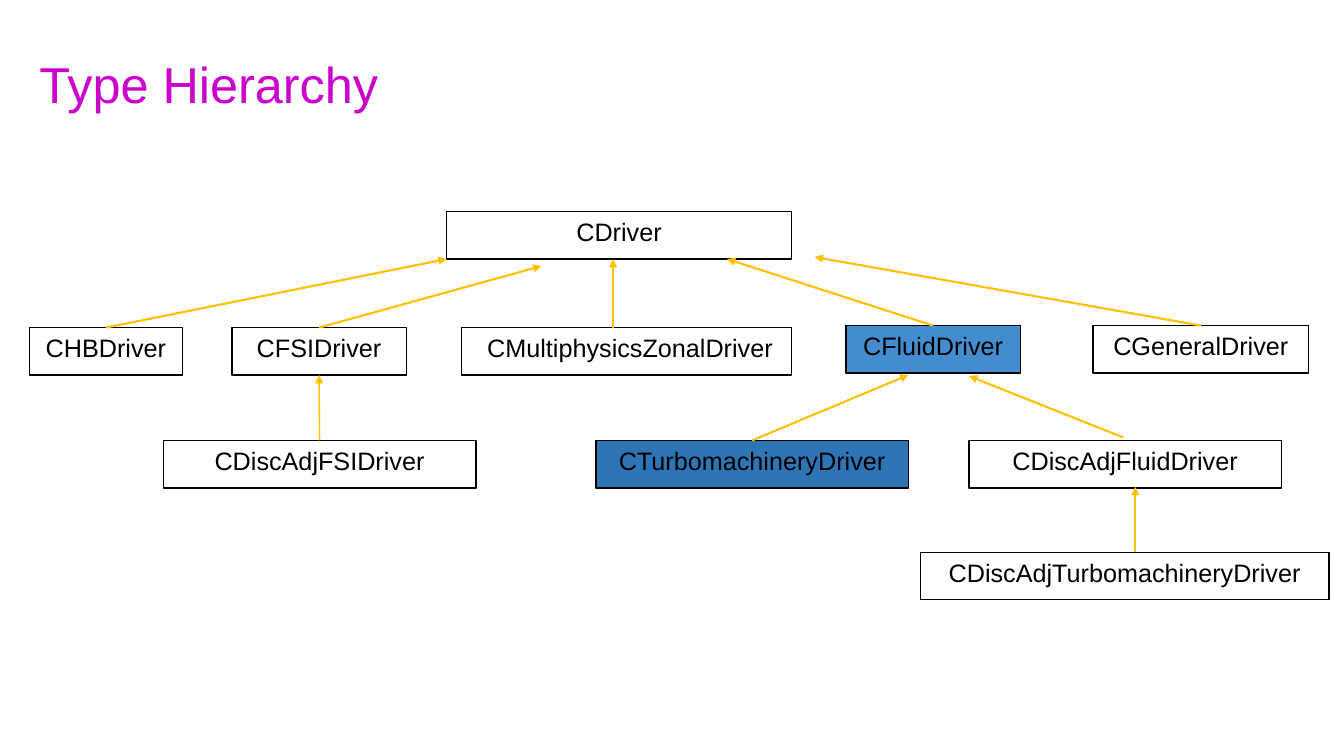
import pptx
import pptx.dml.color
import pptx.enum.shapes
import pptx.enum.text
import pptx.util
from dataclasses import dataclass
from lxml import etree
from pptx.oxml.ns import qn
from pptx.util import Inches

TOP, BOTTOM = 0, 2
BOX_HEIGHT = 0.47


@dataclass(frozen=True)
class Theme:
    font: str = "Arial"
    title_size: int = 36
    label_size: int = 18
    title: str = "CC00CC"
    ink: str = "000000"
    plain: str = "FFFFFF"
    fluid: str = "438CCF"
    turbo: str = "2E75B6"
    arrow: str = "FFC000"


THEME = Theme()

# Class label: left, top, width, fill
CLASSES = {
    "CDriver": (4.43, 2.1, 3.42, THEME.plain),
    "CHBDriver": (0.29, 3.25, 1.52, THEME.plain),
    "CFSIDriver": (2.3, 3.25, 1.73, THEME.plain),
    " CMultiphysicsZonalDriver": (4.58, 3.25, 3.27, THEME.plain),
    "CFluidDriver": (8.39, 3.23, 1.73, THEME.fluid),
    "CGeneralDriver": (10.84, 3.23, 2.14, THEME.plain),
    "CDiscAdjFSIDriver": (1.62, 4.37, 3.1, THEME.plain),
    "CTurbomachineryDriver": (5.91, 4.37, 3.1, THEME.turbo),
    "CDiscAdjFluidDriver": (9.61, 4.37, 3.1, THEME.plain),
    "CDiscAdjTurbomachineryDriver": (9.13, 5.48, 4.05, THEME.plain),
}

# Arrow ends: a class label joins the box, a point stays free
ARROWS = [
    ("CHBDriver", (4.43, 2.57), 1.5),
    ("CFSIDriver", (5.37, 2.64), 1.5),
    ((6.08, 3.25), (6.08, 2.57), 1.5),
    ("CFluidDriver", (7.21, 2.57), 1.5),
    ("CGeneralDriver", (8.08, 2.55), 1.5),
    ("CDiscAdjFSIDriver", "CFSIDriver", 1),
    ("CTurbomachineryDriver", (9.01, 3.72), 1.5),
    ((11.14, 4.34), (9.61, 3.73), 1.5),
    ((11.26, 5.48), (11.26, 4.83), 1.5),
]


def rgb(value):
    return pptx.dml.color.RGBColor.from_string(value)


def format_text(frame, size, color, alignment):
    para = frame.paragraphs[0]
    para.alignment = alignment
    for span in para.runs:
        span.font.name = THEME.font
        span.font.size = pptx.util.Pt(size)
        span.font.color.rgb = rgb(color)


def set_title(page, text):
    title = page.shapes.title
    title.left, title.top = Inches(0.29), Inches(0.24)
    title.width, title.height = Inches(13.12), Inches(1.18)
    frame = title.text_frame
    frame.text = text
    frame.vertical_anchor = pptx.enum.text.MSO_ANCHOR.MIDDLE
    format_text(frame, THEME.title_size, THEME.title, pptx.enum.text.PP_ALIGN.LEFT)


def add_class_box(page, label, left, top, width, fill):
    box = page.shapes.add_shape(
        pptx.enum.shapes.MSO_SHAPE.RECTANGLE,
        Inches(left), Inches(top), Inches(width), Inches(BOX_HEIGHT))
    box.shadow.inherit = False
    box.fill.solid()
    box.fill.fore_color.rgb = rgb(fill)
    box.line.color.rgb = rgb(THEME.ink)
    box.line.width = pptx.util.Pt(1)
    frame = box.text_frame
    frame.text = label
    frame.word_wrap = True
    frame.vertical_anchor = pptx.enum.text.MSO_ANCHOR.TOP
    format_text(frame, THEME.label_size, THEME.ink, pptx.enum.text.PP_ALIGN.CENTER)
    return box


def add_arrow(page, boxes, start, end, weight):
    arrow = page.shapes.add_connector(
        pptx.enum.shapes.MSO_CONNECTOR.STRAIGHT, 0, 0, 0, 0)
    if start in boxes:
        arrow.begin_connect(boxes[start], TOP)
    else:
        arrow.begin_x, arrow.begin_y = map(Inches, start)
    if end in boxes:
        arrow.end_connect(boxes[end], BOTTOM)
    else:
        arrow.end_x, arrow.end_y = map(Inches, end)
    arrow.line.color.rgb = rgb(THEME.arrow)
    arrow.line.width = pptx.util.Pt(weight)
    # Arrowhead, and no shadow
    head = etree.SubElement(arrow.line._get_or_add_ln(), qn("a:tailEnd"))
    head.set("type", "triangle")
    etree.SubElement(arrow._element.spPr, qn("a:effectLst"))


def main():
    deck = pptx.Presentation()
    deck.slide_width, deck.slide_height = Inches(13.33), Inches(7.5)
    page = deck.slides.add_slide(deck.slide_layouts.get_by_name("Title Only"))
    set_title(page, "Type Hierarchy")

    # Class boxes
    boxes = {label: add_class_box(page, label, *place)
             for label, place in CLASSES.items()}

    # Inheritance arrows
    for start, end, weight in ARROWS:
        add_arrow(page, boxes, start, end, weight)

    deck.save("out.pptx")


if __name__ == "__main__":
    main()
